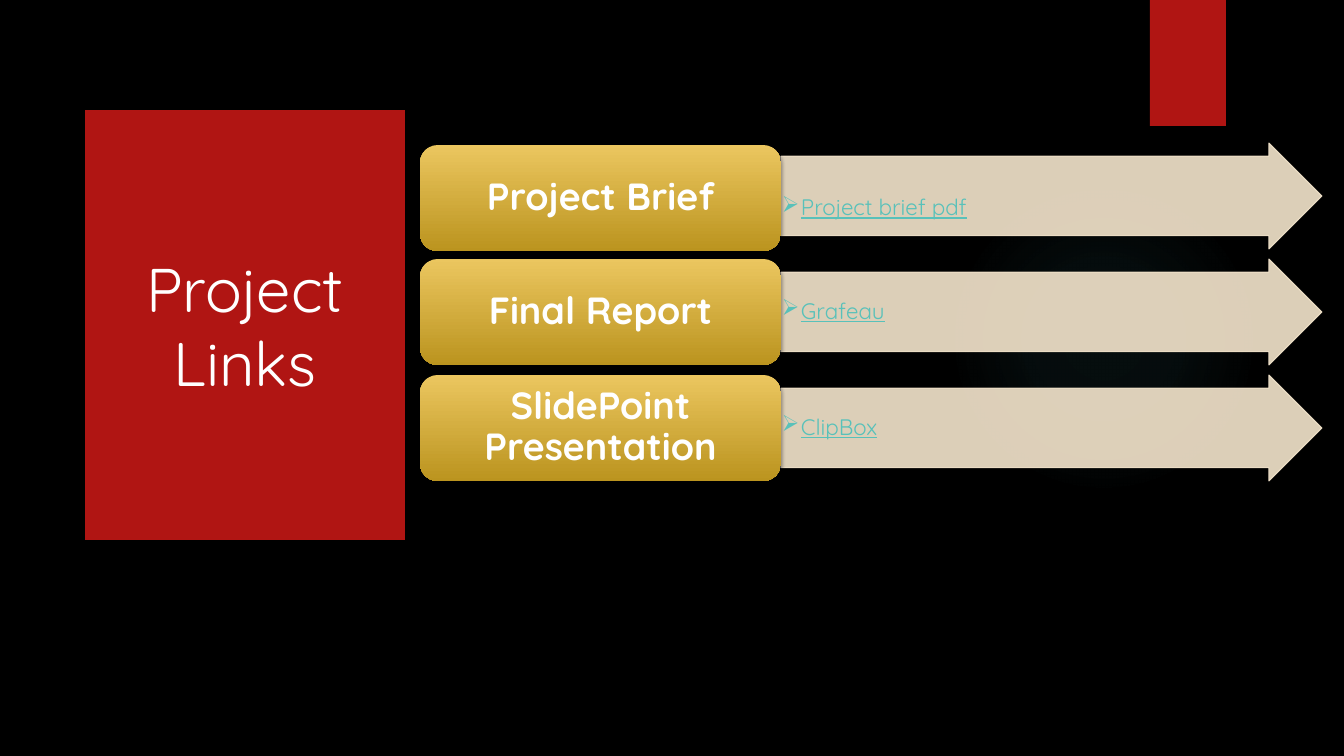
from dataclasses import dataclass

from pptx import Presentation
from pptx.dml.color import RGBColor
from pptx.enum.shapes import MSO_SHAPE
from pptx.enum.text import MSO_ANCHOR, MSO_AUTO_SIZE, PP_ALIGN
from pptx.oxml import parse_xml
from pptx.oxml.ns import nsdecls, qn
from pptx.util import Emu, Pt

RECTANGLE = MSO_SHAPE.RECTANGLE
ROUNDED = MSO_SHAPE.ROUNDED_RECTANGLE
ARROW = MSO_SHAPE.RIGHT_ARROW
ELLIPSE = MSO_SHAPE.OVAL
MIDDLE = MSO_ANCHOR.MIDDLE
LEFT, CENTER = PP_ALIGN.LEFT, PP_ALIGN.CENTER
NO_AUTOFIT = MSO_AUTO_SIZE.NONE

BLACK = RGBColor(0x00, 0x00, 0x00)
WHITE = RGBColor(0xFF, 0xFF, 0xFF)
RED = RGBColor(0xB0, 0x15, 0x13)
SAND = RGBColor(0xF5, 0xE6, 0xCD)
GOLD_LIGHT = RGBColor(0xEB, 0xC6, 0x5F)
GOLD_DARK = RGBColor(0xBB, 0x94, 0x1F)
LINK_TEAL = RGBColor(0x58, 0xC1, 0xBA)
GLOW_TEAL = RGBColor(0x50, 0xB9, 0xC1)

FONT = "Quicksand"
EMU_PER_INCH = 914400
PX_PER_INCH = 100.8
TITLE_ONLY_LAYOUT = 5

ROW_TOP = 143
ROW_PITCH = 116
ROW_HEIGHT = 106
LABEL_LEFT, LABEL_WIDTH = 420, 361
ARROW_LEFT, ARROW_WIDTH = 781, 541
BULLET_INDENT = 19


@dataclass(frozen=True)
class LinkRow:
    label: str
    link: str
    label_drop: int = 0
    link_drop: int = 0


ROWS = (
    LinkRow("Project Brief", "Project brief pdf", label_drop=2, link_drop=25),
    LinkRow("Final Report", "Grafeau"),
    LinkRow("SlidePoint Presentation", "ClipBox"),
)


def px(length: int) -> Emu:
    return Emu(round(length * EMU_PER_INCH / PX_PER_INCH))


def place(box, left: int, top: int, width: int, height: int) -> None:
    box.left, box.top = px(left), px(top)
    box.width, box.height = px(width), px(height)


def add_box(page, kind, left: int, top: int, width: int, height: int):
    box = page.shapes.add_shape(kind, px(left), px(top), px(width), px(height))
    box.shadow.inherit = False
    box.line.fill.background()
    return box


def fill_solid(box, color: RGBColor) -> None:
    box.fill.solid()
    box.fill.fore_color.rgb = color


def outline(box, color: RGBColor) -> None:
    box.line.color.rgb = color
    box.line.width = Pt(0.75)


def add_shadow(box) -> None:
    box.shadow.inherit = False
    box.element.spPr.find(qn("a:effectLst")).append(parse_xml(
        f'<a:outerShdw {nsdecls("a")} blurRad="38100" dist="25400" dir="5400000" rotWithShape="0">'
        f'<a:srgbClr val="{BLACK}"><a:alpha val="45000"/></a:srgbClr></a:outerShdw>'))


def set_opacity(box, percent: int) -> None:
    for color in box.element.spPr.iter(qn("a:srgbClr")):
        color.append(parse_xml(f'<a:alpha {nsdecls("a")} val="{percent * 1000}"/>'))


def write(box, text: str, *, size: int, color: RGBColor, align=CENTER,
          bold: bool = False, underline: bool = False, spacing: float = 1.0,
          margins: tuple[int, int, int, int] = (10, 5, 10, 5)):
    frame = box.text_frame
    frame.word_wrap = True
    frame.auto_size = NO_AUTOFIT
    frame.vertical_anchor = MIDDLE
    frame.margin_left, frame.margin_top, frame.margin_right, frame.margin_bottom = map(px, margins)
    para = frame.paragraphs[0]
    para.alignment = align
    para.line_spacing = spacing
    span = para.add_run()
    span.text = text
    span.font.name = FONT
    span.font.size = Pt(size)
    span.font.bold = bold
    span.font.underline = underline
    span.font.color.rgb = color
    return para


def add_bullet(para, character: str) -> None:
    properties = para._p.get_or_add_pPr()
    properties.set("marL", str(px(BULLET_INDENT)))
    properties.set("indent", str(-px(BULLET_INDENT)))
    properties.append(parse_xml(f'<a:buChar {nsdecls("a")} char="{character}"/>'))


def add_glow(page) -> None:
    glow = add_box(page, ELLIPSE, 949, 184, 310, 310)
    glow.fill.background()
    stops = "".join(
        f'<a:gs pos="{position * 1000}"><a:srgbClr val="{GLOW_TEAL}">'
        f'<a:alpha val="{opacity * 1000}"/></a:srgbClr></a:gs>'
        for position, opacity in ((0, 7), (36, 6), (69, 0)))
    properties = glow.element.spPr
    properties.replace(properties.find(qn("a:noFill")), parse_xml(
        f'<a:gradFill {nsdecls("a")}><a:gsLst>{stops}</a:gsLst><a:path path="circle">'
        '<a:fillToRect l="50000" t="50000" r="50000" b="50000"/></a:path></a:gradFill>'))


def add_title(page) -> None:
    title = page.shapes.title
    place(title, 84, 109, 322, 432)
    fill_solid(title, RED)
    outline(title, BLACK)
    add_shadow(title)
    para = write(title, "Project Links", size=44, color=WHITE)
    para.space_after = Pt(6)


def add_row(page, row: LinkRow, top: int) -> None:
    arrow = add_box(page, ARROW, ARROW_LEFT, top, ARROW_WIDTH, ROW_HEIGHT)
    arrow.adjustments[0], arrow.adjustments[1] = 0.75, 0.5
    fill_solid(arrow, SAND)
    outline(arrow, SAND)
    set_opacity(arrow, 90)
    para = write(arrow, row.link, size=16, color=LINK_TEAL, align=LEFT, underline=True,
                 spacing=0.9, margins=(1, 1 + row.link_drop, 1, 1))
    add_bullet(para, "➢")

    label = add_box(page, ROUNDED, LABEL_LEFT, top + row.label_drop, LABEL_WIDTH, ROW_HEIGHT)
    label.fill.gradient()
    label.fill.gradient_angle = 270
    for stop, color in zip(label.fill.gradient_stops, (GOLD_LIGHT, GOLD_DARK)):
        stop.color.rgb = color
    add_shadow(label)
    write(label, row.label, size=27, color=WHITE, bold=True, spacing=0.9, margins=(11, 6, 11, 6))


def main() -> None:
    deck = Presentation()
    deck.slide_width, deck.slide_height = px(1344), px(756)
    page = deck.slides.add_slide(deck.slide_layouts[TITLE_ONLY_LAYOUT])
    page.background.fill.solid()
    page.background.fill.fore_color.rgb = BLACK

    add_title(page)
    add_glow(page)
    ribbon = add_box(page, RECTANGLE, 1150, 0, 76, 126)
    fill_solid(ribbon, RED)
    add_shadow(ribbon)
    for index, row in enumerate(ROWS):
        add_row(page, row, ROW_TOP + index * ROW_PITCH)

    deck.save("out.pptx")


if __name__ == "__main__":
    main()
